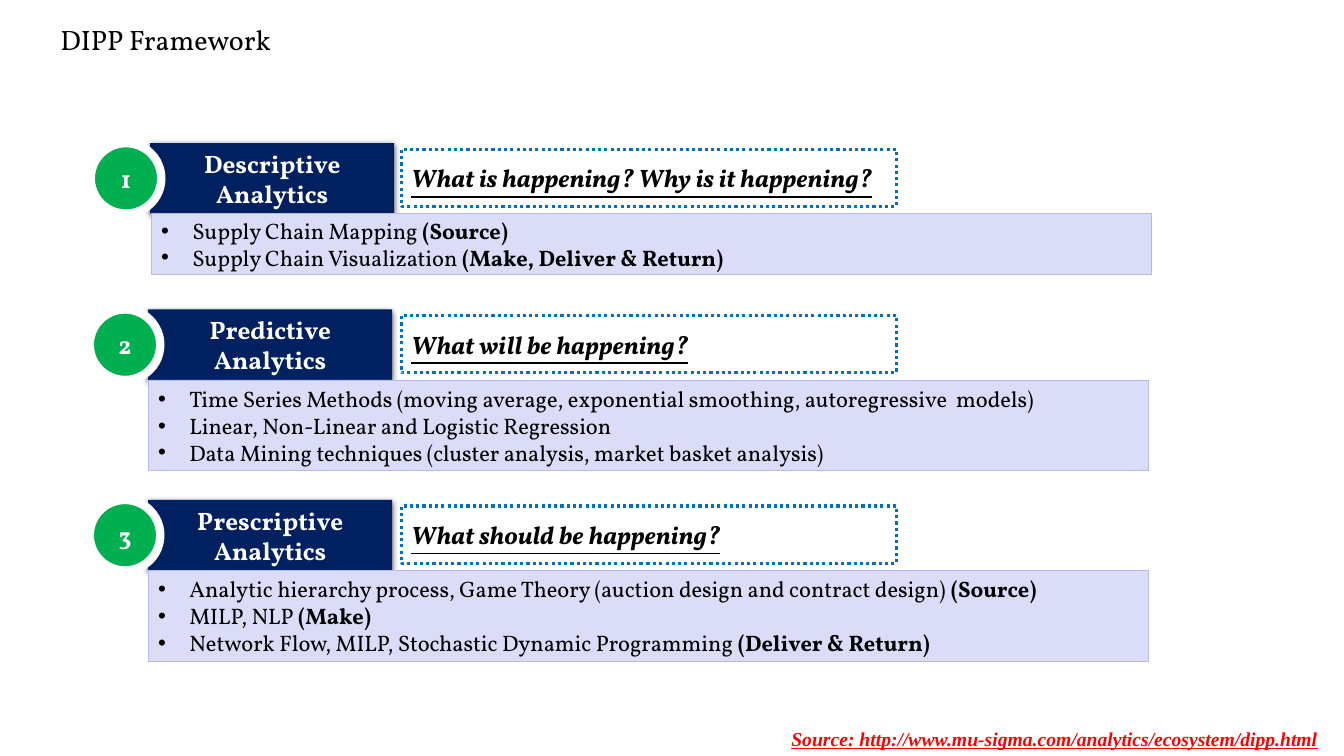
"""Build the DIPP Framework slide."""
from lxml import etree
from pptx import Presentation
from pptx import util as u
from pptx.dml.color import RGBColor
from pptx.enum import dml, shapes, text
from pptx.oxml import ns

TITLE = "DIPP Framework"
SOURCE = "Source: http://www.mu-sigma.com/analytics/ecosystem/dipp.html"
STAGES = [
    {"name": "Descriptive Analytics", "top": 142, "badge": 90, "left": 149, "list": 150,
     "question": "What is happening? Why is it happening?",
     "methods": [("Supply Chain Mapping ", "(Source)"),
                 ("Supply Chain Visualization ", "(Make, Deliver & Return)")]},
    {"name": "Predictive Analytics", "top": 307, "badge": 89, "left": 147, "list": 147,
     "question": "What will be happening?",
     "methods": [("Time Series Methods (moving average, exponential smoothing, "
                  "autoregressive  models)", ""),
                 ("Linear, Non-Linear and Logistic Regression", ""),
                 ("Data Mining techniques (cluster analysis, market basket analysis)", "")]},
    {"name": "Prescriptive Analytics", "top": 496, "badge": 89, "left": 147, "list": 147,
     "question": "What should be happening?",
     "methods": [("Analytic hierarchy process, Game Theory "
                  "(auction design and contract design) ", "(Source)"),
                 ("MILP, NLP ", "(Make)"),
                 ("Network Flow, MILP, Stochastic Dynamic Programming ",
                  "(Deliver & Return)")]},
]
COLORS = {"black": "000000", "white": "FFFFFF", "navy": "002060", "green": "00B050",
          "blue": "0070C0", "lilac": "DADCF8", "violet": "B4B9F1", "red": "FF0000"}
FONT = "Vollkorn"
SOURCE_FONT = "Times New Roman"
HEADER_HEIGHT = 70
LIST_PADDING, LIST_LINE = 0, 30
INDENT = 31


def px(length):
    return u.Inches(length / 100)


def color(name):
    return RGBColor.from_string(COLORS[name])


def style(font, size, shade, name=FONT, bold=False, accent=False):
    font.name, font.size, font.bold = name, u.Pt(size), bold
    font.color.rgb = color(shade)
    if accent:
        font.italic = font.underline = True


def add_box(page, kind, left, top, width, height, fill=None, line=None, weight=0):
    box = page.shapes.add_shape(kind, px(left), px(top), px(width), px(height))
    if fill:
        box.fill.solid()
        box.fill.fore_color.rgb = color(fill)
    else:
        box.fill.background()
    if line:
        box.line.color.rgb = color(line)
        box.line.width = u.Pt(weight)
    else:
        box.line.fill.background()
    box.shadow.inherit = False
    box.text_frame.word_wrap = True
    box.text_frame.vertical_anchor = text.MSO_ANCHOR.MIDDLE
    return box


def write(box, words, align, size, shade, **look):
    box.text_frame.text = words
    para = box.text_frame.paragraphs[0]
    para.alignment = align
    style(para.runs[0].font, size, shade, **look)


def add_shadow(box):
    effects = box._element.spPr.find(ns.qn("a:effectLst"))
    shadow = etree.SubElement(effects, ns.qn("a:outerShdw"), blurRad=str(u.Pt(4.5)),
                              dist=str(u.Pt(1.5)), dir="5400000", rotWithShape="0")
    shade = etree.SubElement(shadow, ns.qn("a:srgbClr"), val=COLORS["black"])
    etree.SubElement(shade, ns.qn("a:alpha"), val="63000")


def add_bullet(para):
    props = para._p.get_or_add_pPr()
    props.set("marL", str(px(INDENT)))
    props.set("indent", str(-px(INDENT)))
    etree.SubElement(props, ns.qn("a:buFont"), typeface="Arial")
    etree.SubElement(props, ns.qn("a:buChar"), char="•")


def add_methods(box, methods):
    frame = box.text_frame
    for index, parts in enumerate(methods):
        para = frame.add_paragraph() if index else frame.paragraphs[0]
        para.alignment = text.PP_ALIGN.LEFT
        add_bullet(para)
        for words, bold in zip(parts, (False, True)):
            if words:
                span = para.add_run()
                span.text = words
                style(span.font, 16, "black", bold=bold)


def add_stage(page, number, stage):
    rect, oval = shapes.MSO_SHAPE.RECTANGLE, shapes.MSO_SHAPE.OVAL
    center, left = text.PP_ALIGN.CENTER, text.PP_ALIGN.LEFT
    top = stage["top"]

    header = add_box(page, rect, stage["left"], top, 242, HEADER_HEIGHT, "navy")
    add_shadow(header)
    write(header, stage["name"], center, 18, "white", bold=True)

    badge = add_box(page, oval, stage["badge"], top, 70, HEADER_HEIGHT, "green", "white", 6)
    write(badge, str(number), center, 18, "white", bold=True)

    question = add_box(page, rect, 398, top + 6, 491, 57, None, "blue", 2.25)
    question.line.dash_style = dml.MSO_LINE.ROUND_DOT
    write(question, stage["question"], left, 18, "black", bold=True, accent=True)

    height = LIST_PADDING + LIST_LINE * len(stage["methods"])
    listing = add_box(page, rect, stage["list"], top + HEADER_HEIGHT, 992, height,
                      "lilac", "violet", 0.5)
    add_methods(listing, stage["methods"])


def main():
    deck = Presentation()
    deck.slide_width, deck.slide_height = px(1333), px(750)
    page = deck.slides.add_slide(deck.slide_layouts[5])

    title = page.shapes.title
    title.left, title.top, title.width, title.height = map(px, (50, 21, 1067, 100))
    title.text_frame.vertical_anchor = text.MSO_ANCHOR.TOP
    write(title, TITLE, text.PP_ALIGN.LEFT, 20, "black")
    title.text_frame.paragraphs[0].line_spacing = 0.9

    for number, stage in enumerate(STAGES, 1):
        add_stage(page, number, stage)

    source = page.shapes.add_textbox(px(775), px(716), px(558), px(34))
    source.text_frame.word_wrap = True
    write(source, SOURCE, text.PP_ALIGN.LEFT, 14, "red", name=SOURCE_FONT,
          bold=True, accent=True)
    deck.save("out.pptx")


if __name__ == "__main__":
    main()
